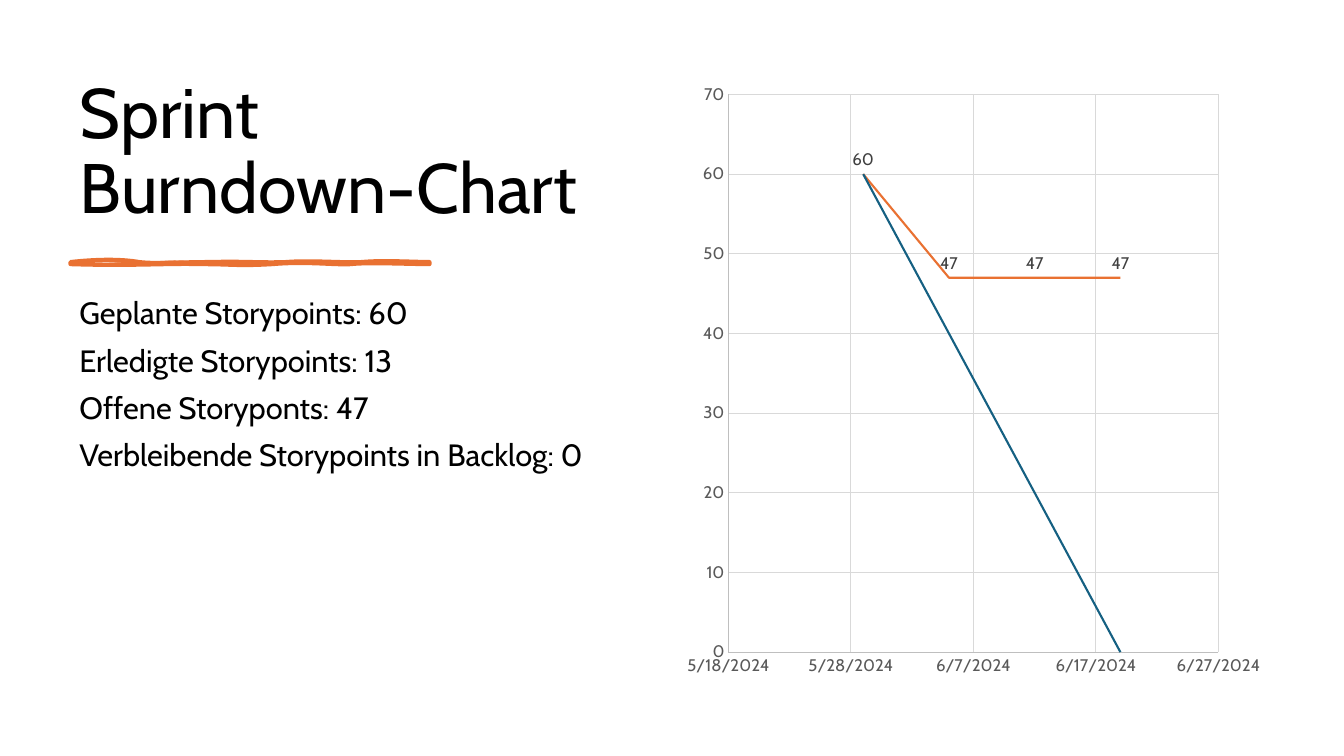
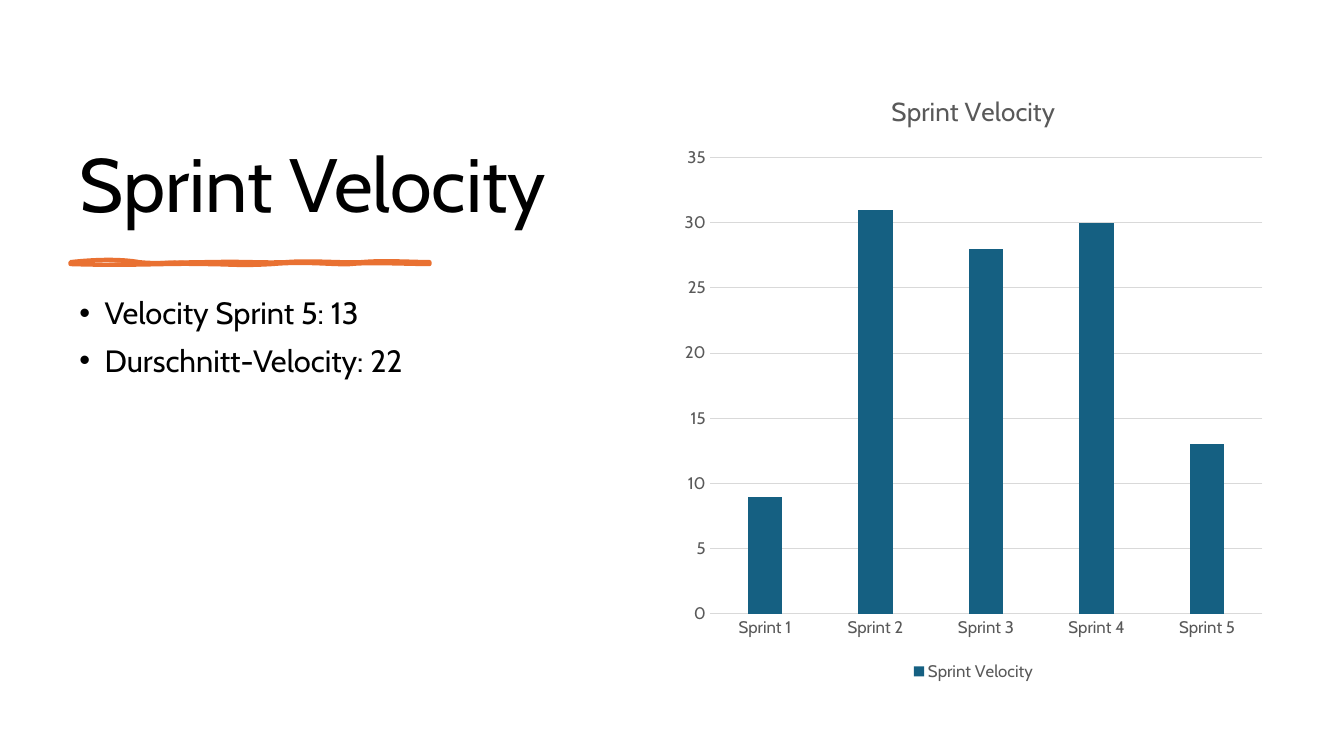
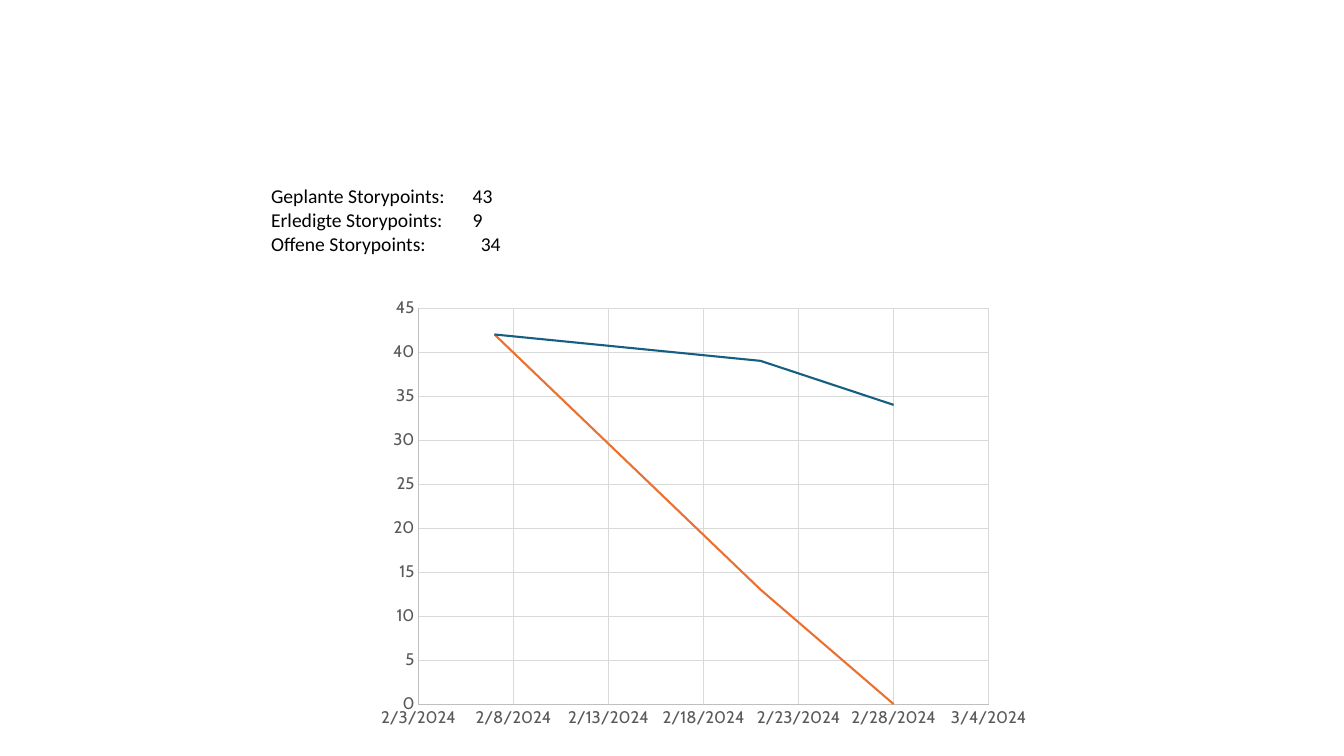
from lxml.etree import SubElement
from pptx import Presentation
from pptx.chart.data import CategoryChartData, XyChartData
from pptx.dml.color import RGBColor
from pptx.enum.chart import (XL_CHART_TYPE as ChartType, XL_LABEL_POSITION as LabelPosition,
                             XL_LEGEND_POSITION as LegendPosition, XL_MARKER_STYLE as MarkerStyle,
                             XL_TICK_MARK as TickMark)
from pptx.enum.text import MSO_ANCHOR as Anchor, PP_ALIGN as Align
from pptx.oxml import parse_xml
from pptx.oxml.ns import nsdecls, qn
from pptx.util import Inches, Pt

COLORS = {"text": "000000", "blue": "156082", "orange": "E97132", "axis_text": "595959",
          "label": "404040", "axis": "BFBFBF", "grid": "D9D9D9"}
FONT = "Cabin"
PLAIN_FONT = "Calibri"

TITLE_AREA = (0.69, 0.7, 5.27, 1.62)
BODY_AREA = (0.69, 2.91, 5.27, 3.88)
CHART_AREA = (6.67, 0.7, 5.97, 6.1)

# Hand-drawn rule: a start point, then (control, control, end) for each curve
RULE_START = (0.7, 2.6)
RULE_OUTLINE = [
    (0.97, 2.57, 1.21, 2.57, 1.38, 2.6), (1.55, 2.62, 1.77, 2.6, 2.09, 2.6),
    (2.41, 2.59, 2.6, 2.61, 2.84, 2.6), (3.08, 2.58, 3.39, 2.61, 3.59, 2.6),
    (3.79, 2.58, 4.12, 2.6, 4.26, 2.6), (4.26, 2.6, 4.26, 2.61, 4.26, 2.62),
    (4.08, 2.62, 3.64, 2.6, 3.48, 2.62), (3.32, 2.63, 3.04, 2.59, 2.7, 2.62),
    (2.35, 2.64, 2.31, 2.62, 1.99, 2.62), (1.66, 2.61, 1.32, 2.64, 0.7, 2.62),
    (0.7, 2.61, 0.7, 2.6, 0.7, 2.6)]
RULE_BODY = [
    (1.02, 2.62, 1.1, 2.6, 1.38, 2.6), (1.66, 2.59, 1.69, 2.57, 1.99, 2.6),
    (2.28, 2.62, 2.61, 2.61, 2.77, 2.6), (2.93, 2.58, 3.27, 2.62, 3.44, 2.6),
    (3.62, 2.57, 3.97, 2.63, 4.26, 2.6), (4.26, 2.6, 4.26, 2.61, 4.26, 2.62),
    (4.12, 2.61, 3.72, 2.64, 3.55, 2.62), (3.38, 2.59, 3.09, 2.62, 2.77, 2.62),
    (2.44, 2.61, 2.4, 2.6, 2.16, 2.62), (1.93, 2.63, 1.79, 2.61, 1.45, 2.62),
    (1.11, 2.62, 0.92, 2.61, 0.7, 2.62), (0.7, 2.61, 0.7, 2.6, 0.7, 2.6)]

BURNDOWN_LINES = ["Geplante Storypoints: 60", "Erledigte Storypoints: 13",
                  "Offene Storyponts: 47", "Verbleibende Storypoints in Backlog: 0"]
VELOCITY_LINES = ["Velocity Sprint 5: 13", "Durschnitt-Velocity: 22"]
VELOCITY = {"Sprint 1": 9, "Sprint 2": 31, "Sprint 3": 28, "Sprint 4": 30, "Sprint 5": 13}

# Dates are day numbers: 45430 is 5/18/2024, 45325 is 2/3/2024
BURNDOWN = {
    "area": CHART_AREA, "plot": (0.093, 0.039, 0.814, 0.907),
    "days": [45441, 45448, 45455, 45462], "day_axis": (45430, 45470, 10),
    "point_axis": (0, 70, 10), "labelled": "Series 2",
    "series": {"Series 1": ([60, 40, 20, 0], "blue"),
               "Series 2": ([60, 47, 47, 47], "orange")}}
FIRST_BURNDOWN = {
    "area": (3.65, 2.87, 6.67, 4.44), "plot": (0.075, 0.042, 0.848, 0.885),
    "days": [45329, 45343, 45350], "day_axis": (45325, 45355, 5),
    "point_axis": (0, 45, 5), "labelled": None,
    "series": {"Series 1": ([42, 39, 34], "blue"),
               "Series 2": ([42, 13, 0], "orange")}}
# Label, value, tab stop
FIRST_TOTALS = [("Geplante Storypoints:", "43", 2), ("Erledigte Storypoints:", "9", 2),
                ("Offene Storypoints:", "34", 2.08)]


def color(name):
    return RGBColor.from_string(COLORS[name])


def inches(area):
    return [Inches(length) for length in area]


def style_font(font, size, color_name="text", name=FONT):
    font.size, font.name, font.bold = Pt(size), name, False
    font.color.rgb = color(color_name)


def style_line(line, color_name, width=0.75):
    line.color.rgb = color(color_name)
    line.width = Pt(width)


def add_text(para, text, size, color_name="text", name=FONT):
    span = para.add_run()
    span.text = text
    style_font(span.font, size, color_name, name)


def add_curves(outlines, curves, shape, **flags):
    """Append one closed chain of cubic curves to the shape's outlines."""
    def add_point(parent, x, y):
        SubElement(parent, qn("a:pt"), x=str(Inches(x) - shape.left), y=str(Inches(y) - shape.top))

    outline = SubElement(outlines, qn("a:path"), w=str(shape.width), h=str(shape.height), **flags)
    add_point(SubElement(outline, qn("a:moveTo")), *RULE_START)
    for curve in curves:
        bend = SubElement(outline, qn("a:cubicBezTo"))
        for x, y in zip(curve[::2], curve[1::2]):
            add_point(bend, x, y)
    SubElement(outline, qn("a:close"))


def add_rule(page):
    builder = page.shapes.build_freeform(*inches(RULE_START))
    builder.add_line_segments([inches(curve[4:]) for curve in RULE_OUTLINE])
    rule = builder.convert_to_shape()
    rule.shadow.inherit = False
    rule.fill.solid()
    rule.fill.fore_color.rgb = color("orange")
    style_line(rule.line, "orange", 3)
    outlines = rule._element.find(".//" + qn("a:pathLst"))
    outlines.remove(outlines[0])
    add_curves(outlines, RULE_OUTLINE, rule, fill="none")
    add_curves(outlines, RULE_BODY, rule, stroke="0")


def add_titled_page(deck, title, title_size, lines, bulleted=False):
    page = deck.slides.add_slide(deck.slide_layouts.get_by_name("Title Only"))
    heading = page.shapes.title
    heading.left, heading.top, heading.width, heading.height = inches(TITLE_AREA)
    frame = heading.text_frame
    frame.word_wrap, frame.vertical_anchor = True, Anchor.BOTTOM
    para = frame.paragraphs[0]
    para.alignment, para.line_spacing = Align.LEFT, 0.9
    add_text(para, title, title_size)
    add_rule(page)

    frame = page.shapes.add_textbox(*inches(BODY_AREA)).text_frame
    frame.word_wrap = True
    for index, line in enumerate(lines):
        para = frame.add_paragraph() if index else frame.paragraphs[0]
        para.line_spacing, para.space_before = 0.9, Pt(10)
        add_text(para, line, 22)
        if bulleted:
            props = para._p.get_or_add_pPr()
            props.set("marL", str(Inches(0.25)))
            props.set("indent", str(-Inches(0.25)))
            SubElement(props, qn("a:buFont"), typeface="Arial")
            SubElement(props, qn("a:buChar"), char="•")
    return page


def style_axis(axis, line=None, grid=False):
    axis.major_tick_mark = axis.minor_tick_mark = TickMark.NONE
    style_font(axis.tick_labels.font, 12, "axis_text")
    if line:
        style_line(axis.format.line, line)
    else:
        axis.format.line.fill.background()
    axis.has_major_gridlines = grid
    if grid:
        style_line(axis.major_gridlines.format.line, "grid")


def place_plot(chart, plot):
    """Fix the inner plot area, given as fractions of the chart."""
    area = chart._chartSpace.find(".//" + qn("c:plotArea"))
    for layout in area.findall(qn("c:layout")):
        area.remove(layout)
    sizes = "".join(f'<c:{tag} val="{value}"/>' for tag, value in zip("xywh", plot))
    area.insert(0, parse_xml(
        f'<c:layout {nsdecls("c")}><c:manualLayout><c:layoutTarget val="inner"/>'
        f'<c:xMode val="edge"/><c:yMode val="edge"/>{sizes}</c:manualLayout></c:layout>'))


def add_chart(page, kind, area, data):
    chart = page.shapes.add_chart(kind, *inches(area), data).chart
    style_font(chart.font, 10)
    chart.has_title = chart.has_legend = False
    chart.plots[0].vary_by_categories = False
    return chart


def add_burndown(page, burndown):
    data = XyChartData()
    for name, (values, _) in burndown["series"].items():
        series = data.add_series(name)
        for day, value in zip(burndown["days"], values):
            series.add_data_point(day, value)
    chart = add_chart(page, ChartType.XY_SCATTER_LINES_NO_MARKERS, burndown["area"], data)
    place_plot(chart, burndown["plot"])
    for axis, scale in ((chart.category_axis, burndown["day_axis"]),
                        (chart.value_axis, burndown["point_axis"])):
        style_axis(axis, "axis", grid=True)
        axis.minimum_scale, axis.maximum_scale, axis.major_unit = scale
    labels = chart.category_axis.tick_labels
    labels.number_format, labels.number_format_is_linked = "m/d/yyyy", False
    for series in chart.plots[0].series:
        values, color_name = burndown["series"][series.name]
        style_line(series.format.line, color_name, 1.5)
        series.marker.style = MarkerStyle.NONE
        if series.name == burndown["labelled"]:
            for index in range(len(values)):
                label = series.points[index].data_label
                style_font(label.font, 12, "label")
                label.position = LabelPosition.ABOVE


def add_velocity(page):
    data = CategoryChartData()
    data.categories = list(VELOCITY)
    data.add_series("Sprint Velocity", list(VELOCITY.values()))
    chart = add_chart(page, ChartType.COLUMN_CLUSTERED, CHART_AREA, data)
    chart.has_title = True
    add_text(chart.chart_title.text_frame.paragraphs[0], "Sprint Velocity", 18.6, "axis_text")
    chart.chart_title.include_in_layout = False
    chart.has_legend = True
    chart.legend.position, chart.legend.include_in_layout = LegendPosition.BOTTOM, False
    style_font(chart.legend.font, 12, "axis_text")
    style_axis(chart.category_axis, "grid")
    style_axis(chart.value_axis, grid=True)
    plot = chart.plots[0]
    plot.gap_width, plot.overlap = 219, -27
    fill = plot.series[0].format.fill
    fill.solid()
    fill.fore_color.rgb = color("blue")


def add_totals(page):
    frame = page.shapes.add_textbox(*inches((2.59, 1.78, 7.72, 1.04))).text_frame
    frame.word_wrap = True
    for index, (label, value, stop) in enumerate(FIRST_TOTALS):
        para = frame.add_paragraph() if index else frame.paragraphs[0]
        add_text(para, f"{label}\t{value}", 14, name=PLAIN_FONT)
        tabs = SubElement(para._p.get_or_add_pPr(), qn("a:tabLst"))
        SubElement(tabs, qn("a:tab"), pos=str(Inches(stop)), algn="l")


def main():
    deck = Presentation()
    deck.slide_width, deck.slide_height = Inches(13.33), Inches(7.5)

    page = add_titled_page(deck, "Sprint Burndown-Chart", 50, BURNDOWN_LINES)
    add_burndown(page, BURNDOWN)

    page = add_titled_page(deck, "Sprint Velocity", 54, VELOCITY_LINES, bulleted=True)
    add_velocity(page)

    page = deck.slides.add_slide(deck.slide_layouts.get_by_name("Blank"))
    add_totals(page)
    add_burndown(page, FIRST_BURNDOWN)

    deck.save("out.pptx")


if __name__ == "__main__":
    main()
